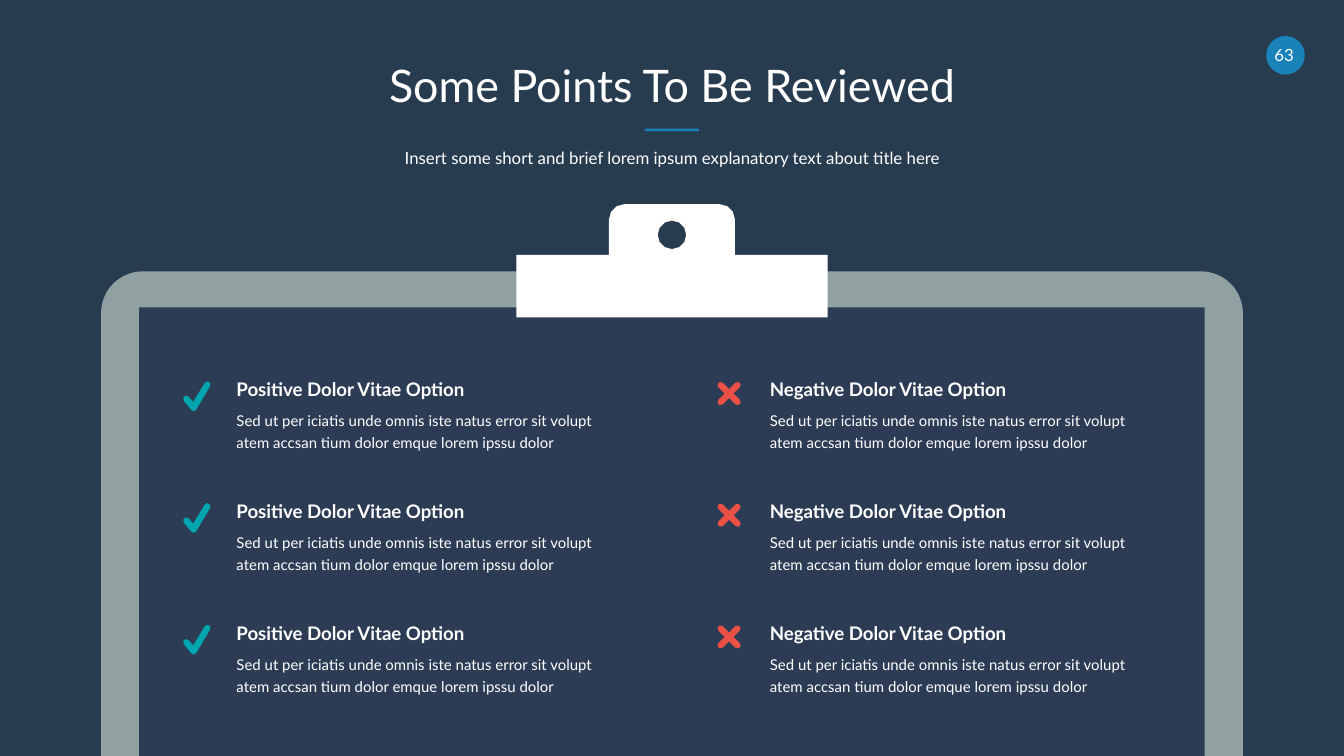
import dataclasses
import math

import pptx
import pptx.dml.color
import pptx.enum.shapes
import pptx.enum.text
import pptx.util

Cm = pptx.util.Cm
Pt = pptx.util.Pt
Kind = pptx.enum.shapes.MSO_SHAPE
Align = pptx.enum.text.PP_ALIGN

WIDE, HIGH = 25.4, 14.29
BACK, BLUE, WHITE = "283C50", "1982B9", "FFFFFF"
GREY, NAVY, TEAL, RED = "91A0A0", "2D3C55", "00A5AF", "EB5046"
ROWS, STEP = 3, 2.3
STROKE = 0.06
DETAIL = ("Sed ut per iciatis unde omnis iste natus error sit volupt "
          "atem accsan tium dolor emque lorem ipssu dolor")

Point = tuple[float, float]


@dataclasses.dataclass
class Box:
    left: float
    top: float
    width: float
    height: float


@dataclasses.dataclass
class Column:
    head: str
    left: float
    mark: list[Point]
    at: Point
    color: str


def paint(fill, color: str) -> None:
    fill.solid()
    fill.fore_color.rgb = pptx.dml.color.RGBColor.from_string(color)


def finish(shape, color: str):
    """Give a shape a flat fill with no line or shadow."""
    paint(shape.fill, color)
    shape.line.fill.background()
    shape.shadow.inherit = False
    return shape


def place(shape, box: Box) -> None:
    shape.left, shape.top = Cm(box.left), Cm(box.top)
    shape.width, shape.height = Cm(box.width), Cm(box.height)


def block(slide, kind, box: Box, color: str):
    shape = slide.shapes.add_shape(
        kind, Cm(box.left), Cm(box.top), Cm(box.width), Cm(box.height))
    return finish(shape, color)


def write(shape, text: str, size: float, align=Align.LEFT, bold: bool = False,
          space: float = 1.0) -> None:
    frame = shape.text_frame
    frame.word_wrap = True
    frame.auto_size = pptx.enum.text.MSO_AUTO_SIZE.NONE
    frame.vertical_anchor = pptx.enum.text.MSO_ANCHOR.TOP
    frame.margin_left = frame.margin_right = 0
    frame.margin_top = frame.margin_bottom = 0
    frame.text = text
    para = frame.paragraphs[0]
    para.alignment = align
    para.line_spacing = space
    para.space_before = Pt(0)
    font = para.font
    font.name, font.size, font.bold = "Lato", Pt(size), bold
    paint(font.fill, WHITE)


def label(slide, box: Box, text: str, size: float, **style) -> None:
    shape = slide.shapes.add_textbox(0, 0, 0, 0)
    place(shape, box)
    write(shape, text, size, **style)


def arc(mid: Point, radius: float, start: float, end: float,
        count: int = 3) -> list[Point]:
    """Points on an arc, clockwise, with angles in degrees from the right."""
    turns = [math.radians(start + (end - start) * i / count)
             for i in range(count + 1)]
    return [(mid[0] + radius * math.cos(t), mid[1] + radius * math.sin(t))
            for t in turns]


def outline(slide, color: str, *rings: list[Point], at: Point = (0, 0)):
    """Draw closed rings as one shape; a second ring cuts a hole."""
    rings = [[(Cm(x + at[0]), Cm(y + at[1])) for x, y in ring]
             for ring in rings]
    pen = slide.shapes.build_freeform(*rings[0][0])
    for i, ring in enumerate(rings):
        if i:
            pen.move_to(*ring[0])
        pen.add_line_segments(ring[1:], close=True)
    return finish(pen.convert_to_shape(), color)


def tick() -> list[Point]:
    return (arc((0.06, 0.33), STROKE, 140, 320) + [(0.19, 0.39)]
            + arc((0.46, 0.06), STROKE, 211, 391)
            + arc((0.2, 0.5), STROKE, 31, 140))


def cross() -> list[Point]:
    ring, mid, reach = [], 0.22, 0.16
    for turn in (45, 135, 225, 315):
        tip = arc((mid, mid), reach * math.sqrt(2), turn, turn, 1)[0]
        ring += arc(tip, STROKE, turn - 90, turn + 90)
        ring += arc((mid, mid), STROKE * math.sqrt(2), turn + 45, turn + 45,
                    1)[:1]
    return ring


def board(slide) -> None:
    top = 5.13
    frame = block(slide, Kind.ROUND_2_SAME_RECTANGLE,
                  Box(1.91, top, WIDE - 3.82, HIGH - top), GREY)
    frame.adjustments[0] = 0.79 / (HIGH - top)
    block(slide, Kind.RECTANGLE, Box(2.63, 5.81, 20.14, HIGH - 5.81), NAVY)

    mid, bend = WIDE / 2, 0.29
    grip, bar = mid - 1.19, mid - 2.94
    clip = (arc((grip + bend, 3.86 + bend), bend, 180, 270)
            + arc((WIDE - grip - bend, 3.86 + bend), bend, 270, 360)
            + [(WIDE - grip, 4.82), (WIDE - bar, 4.82), (WIDE - bar, 6),
               (bar, 6), (bar, 4.82), (grip, 4.82)])
    hole = arc((mid, 4.44), 0.27, 360, 0, 12)[:-1]
    outline(slide, WHITE, clip, hole)


def points(slide, col: Column) -> None:
    for row in range(ROWS):
        down = row * STEP
        outline(slide, col.color, col.mark, at=(col.at[0], col.at[1] + down))
        label(slide, Box(col.left, 7.15 + down, 6.86, 0.43), col.head, 10,
              bold=True)
        label(slide, Box(col.left, 7.7 + down, 6.86, 0.81), DETAIL, 8,
              space=1.25)


def main() -> None:
    deck = pptx.Presentation()
    deck.slide_width, deck.slide_height = Cm(WIDE), Cm(HIGH)
    slide = deck.slides.add_slide(deck.slide_layouts[0])
    paint(slide.background.fill, BACK)

    title, intro = slide.placeholders
    place(title, Box(1.91, 1.09, WIDE - 3.82, 1.12))
    write(title, "Some Points To Be Reviewed", 24, Align.CENTER)
    place(intro, Box(1.91, 2.79, WIDE - 3.82, 0.43))
    write(intro, "Insert some short and brief lorem ipsum explanatory text "
          "about title here", 9, Align.CENTER)

    block(slide, Kind.RECTANGLE, Box(12.19, 2.43, 1.02, 0.05), BLUE)
    block(slide, Kind.OVAL, Box(23.93, 0.68, 0.73, 0.73), BLUE)
    label(slide, Box(23.95, 0.84, 0.64, 0.38), "63", 9, align=Align.CENTER)

    board(slide)
    for col in (
        Column("Positive Dolor Vitae Option", 4.47, tick(), (3.46, 7.21), TEAL),
        Column("Negative Dolor Vitae Option", 14.55, cross(), (13.56, 7.22), RED),
    ):
        points(slide, col)
    deck.save("out.pptx")


if __name__ == "__main__":
    main()
